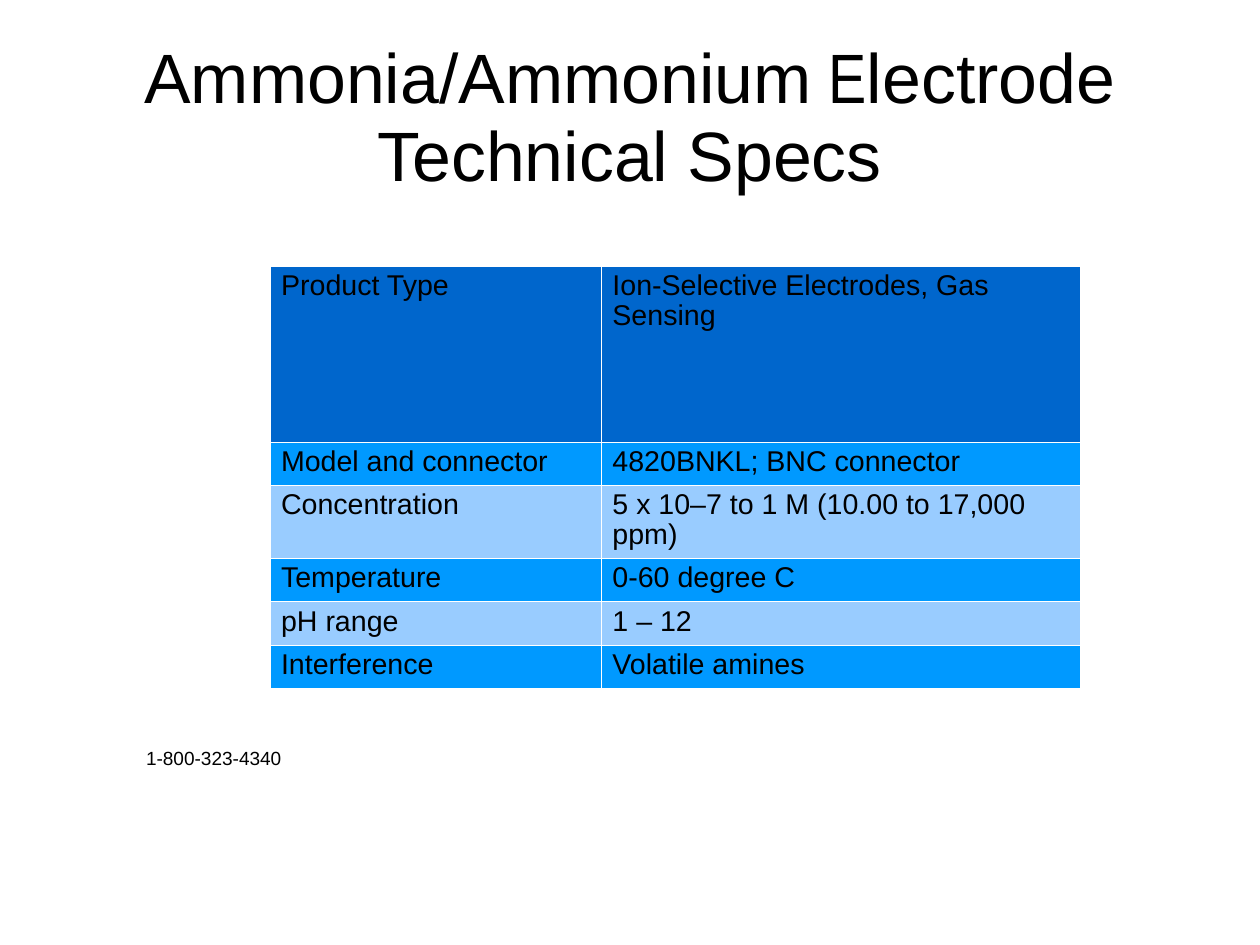
"""Build the technical specification slide for an ammonia electrode."""
from lxml import etree
from pptx import Presentation
from pptx.dml.color import RGBColor
from pptx.enum.text import MSO_ANCHOR, PP_ALIGN
from pptx.oxml.ns import qn
from pptx.util import Cm, Inches, Pt

LEFT, CENTER = PP_ALIGN.LEFT, PP_ALIGN.CENTER
TOP, MIDDLE = MSO_ANCHOR.TOP, MSO_ANCHOR.MIDDLE
BLACK, WHITE = "000000", "FFFFFF"
HEADER_BLUE, STRONG_BLUE, PALE_BLUE = "0066CC", "0099FF", "99CCFF"
BORDER_WIDTH = Pt(0.06)


def color(hex_code):
    return RGBColor.from_string(hex_code)


def write(text_frame, *runs, size=18, align=LEFT):
    text_frame.word_wrap = True
    paragraph = text_frame.paragraphs[0]
    paragraph.alignment = align
    paragraph.line_spacing = 0.93
    for text, font_name in runs:
        run = paragraph.add_run()
        run.text = text
        run.font.name = font_name
        run.font.size = Pt(size)
        run.font.bold = False
        run.font.color.rgb = color(BLACK)


presentation = Presentation()
presentation.slide_width = Cm(28)
presentation.slide_height = Cm(21)
slide = presentation.slides.add_slide(presentation.slide_layouts[6])
column_unit = presentation.slide_width // 100
row_unit = presentation.slide_height // 100

title = slide.shapes.add_textbox(
    5 * column_unit, 4 * row_unit, 90 * column_unit, int(16.7 * row_unit)).text_frame
title.margin_left = title.margin_right = title.margin_bottom = 0
title.margin_top = Inches(0.04)
title.vertical_anchor = MIDDLE
write(title, ("Ammonia/Ammonium", "Arial"), (" E", "Arial Narrow"),
      ("lectrode Technical Specs", "Arial"), size=44, align=CENTER)

specs = [
    ("Product Type", "Ion-Selective Electrodes, Gas Sensing"),
    ("Model and connector", "4820BNKL; BNC connector"),
    ("Concentration", "5 x 10–7 to 1 M (10.00 to 17,000 ppm)"),
    ("Temperature", "0-60 degree C"),
    ("pH range", "1 – 12"),
    ("Interference", "Volatile amines"),
]
column_shares = [26.3, 38]
row_shares = [18.6, 4.6, 7.7, 4.6, 4.6, 4.6]
table = slide.shapes.add_table(
    len(specs), len(column_shares), int(21.4 * column_unit), int(28.15 * row_unit),
    int(sum(column_shares) * column_unit), int(sum(row_shares) * row_unit)).table
table.first_row = table.horz_banding = False
for column, share in zip(table.columns, column_shares):
    column.width = int(share * column_unit)

for row_number, (row, share, texts) in enumerate(zip(table.rows, row_shares, specs)):
    row.height = int(share * row_unit)
    band = STRONG_BLUE if row_number % 2 else PALE_BLUE
    for cell, text in zip(row.cells, texts):
        cell.margin_left = cell.margin_right = Inches(0.1)
        cell.margin_top = Inches(0.05)
        cell.margin_bottom = Inches(0.02)
        cell.vertical_anchor = TOP
        write(cell.text_frame, (text, "Arial"))
        properties = cell.fill._xPr
        for side in ("a:lnL", "a:lnR", "a:lnT", "a:lnB"):
            line = etree.SubElement(properties, qn(side), w=str(int(BORDER_WIDTH)))
            line_fill = etree.SubElement(line, qn("a:solidFill"))
            etree.SubElement(line_fill, qn("a:srgbClr"), val=WHITE)
        cell.fill.solid()
        cell.fill.fore_color.rgb = color(band if row_number else HEADER_BLUE)

phone = slide.shapes.add_textbox(
    int(10.7 * column_unit), int(78.5 * row_unit),
    int(69.7 * column_unit), int(3.4 * row_unit)).text_frame
phone.margin_top = Inches(0.06)
write(phone, ("1-800-323-4340", "Arial"), size=12)

presentation.save("out.pptx")
